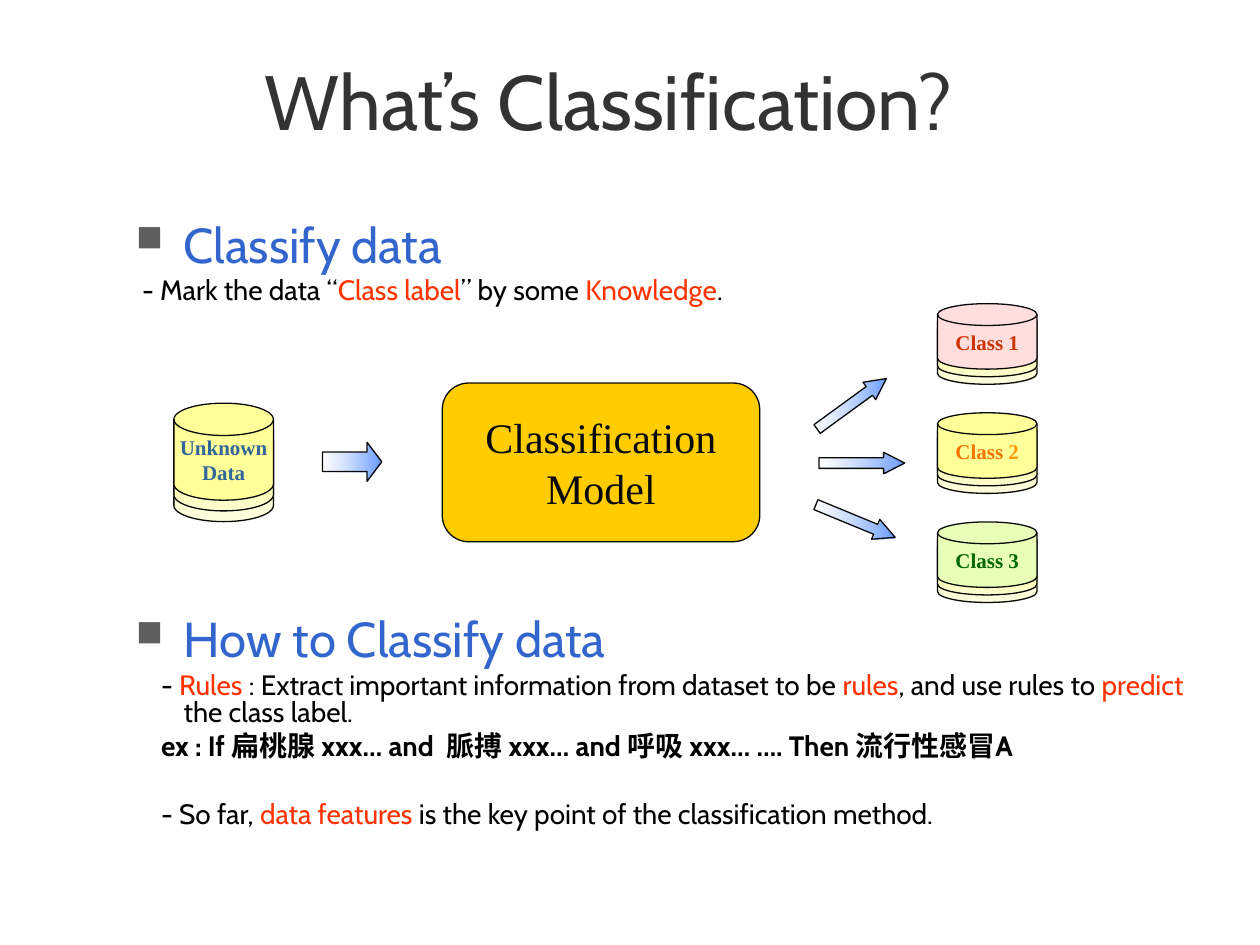
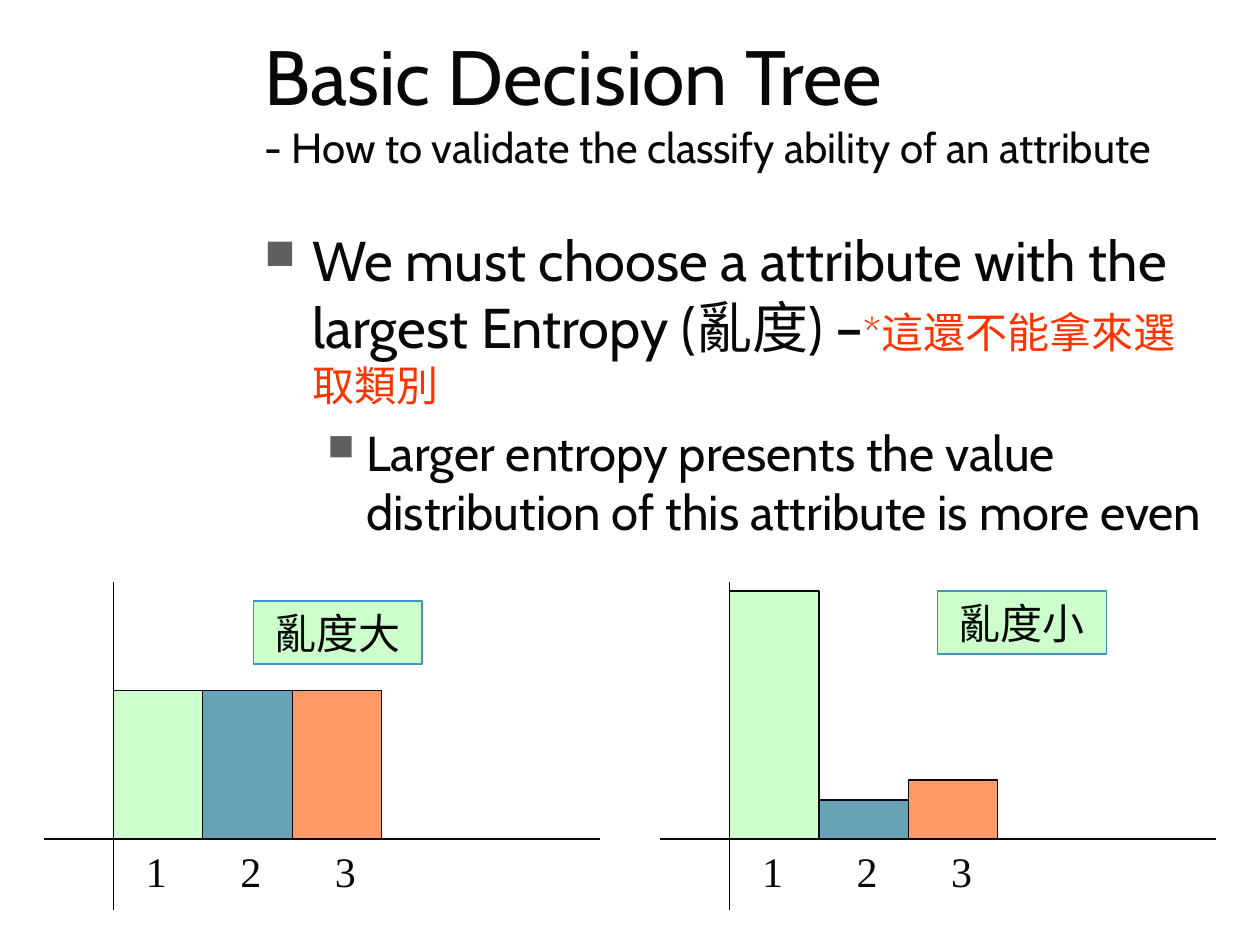
import lxml.etree
import pptx
import pptx.dml.color
import pptx.enum.shapes
import pptx.enum.text
import pptx.oxml.ns
import pptx.util

Inches = pptx.util.Inches
Pt = pptx.util.Pt
Shapes = pptx.enum.shapes.MSO_SHAPE
Align = pptx.enum.text.PP_ALIGN
Anchor = pptx.enum.text.MSO_ANCHOR
qn = pptx.oxml.ns.qn

COLORS = {
    "ink": "080808", "black": "000000", "title": "333333", "bullet": "5F5F5F",
    "heading": "3366CC", "accent": "FF3300", "model": "FFCC00",
    "yellow": "FFFF99", "pale_yellow": "FEFECA", "pink": "FFDEDD", "lime": "E7FFB7",
    "unknown": "336699", "class_1": "CC3300", "class_2": "F07800",
    "class_2_number": "FF9900", "class_3": "006600",
    "arrow": "6699FF", "arrow_tail": "A1C0FE",
    "green": "CCFFCC", "teal": "68A2B6", "orange": "FF9966", "label_edge": "4192BF",
}
SANS = "Cabin"
SERIF = "Times New Roman"
HANGING = 0.38


def rgb(name):
    return pptx.dml.color.RGBColor.from_string(COLORS[name])


def add_run(paragraph, text, size, color, font=SANS, bold=False):
    run = paragraph.add_run()
    run.text = text
    run.font.size = Pt(size)
    run.font.name = font
    run.font.bold = bold
    run.font.color.rgb = rgb(color)


def add_runs(paragraph, runs, size, **style):
    for text, color in runs:
        add_run(paragraph, text, size, color, **style)


def add_titled_slide(presentation):
    slide = presentation.slides.add_slide(presentation.slide_layouts[5])
    title = slide.shapes.title
    title.left, title.top = Inches(2), Inches(0.21)
    title.width, title.height = Inches(7.74), Inches(1.17)
    title.text_frame.vertical_anchor = Anchor.MIDDLE
    title.text_frame.auto_size = pptx.enum.text.MSO_AUTO_SIZE.NONE
    paragraph = title.text_frame.paragraphs[0]
    paragraph.alignment = Align.LEFT
    return slide, paragraph


def add_text_frame(slide, left, top, width, height):
    box = slide.shapes.add_textbox(Inches(left), Inches(top), Inches(width), Inches(height))
    box.text_frame.word_wrap = True
    return box.text_frame


def next_paragraph(frame):
    first = frame.paragraphs[0]
    return frame.add_paragraph() if first.runs else first


def add_body_paragraph(frame, left, indent, before, spacing=1.0):
    paragraph = next_paragraph(frame)
    paragraph.line_spacing = spacing
    paragraph.space_before = Pt(before)
    properties = paragraph._p.get_or_add_pPr()
    properties.set("marL", str(Inches(left)))
    properties.set("indent", str(Inches(indent)))
    return paragraph


def add_bullet(paragraph):
    properties = paragraph._p.get_or_add_pPr()
    color = lxml.etree.SubElement(properties, qn("a:buClr"))
    lxml.etree.SubElement(color, qn("a:srgbClr"), val=COLORS["bullet"])
    lxml.etree.SubElement(properties, qn("a:buSzPct"), val="75000")
    lxml.etree.SubElement(properties, qn("a:buChar"), char="■")


def add_heading(frame, text):
    paragraph = add_body_paragraph(frame, HANGING, -HANGING, 7, 0.8)
    add_bullet(paragraph)
    add_run(paragraph, text, 28, "heading")


def add_detail(frame, runs, start, before=4, bold=False):
    paragraph = add_body_paragraph(frame, HANGING, start - HANGING, before, 0.8)
    add_runs(paragraph, runs, 16, bold=bold)


def add_outlined_shape(slide, kind, left, top, width, height, fill=None, line="ink"):
    shape = slide.shapes.add_shape(
        kind, Inches(left), Inches(top), Inches(width), Inches(height))
    shape.shadow.inherit = False
    shape.line.color.rgb = rgb(line)
    shape.line.width = Pt(0.75)
    if fill:
        shape.fill.solid()
        shape.fill.fore_color.rgb = rgb(fill)
    return shape


def fill_gradient(shape, stops, angle):
    shape.fill.gradient()
    shape.fill.gradient_angle = (360 - angle) % 360
    stop_list = shape._element.spPr.find(qn("a:gradFill")).find(qn("a:gsLst"))
    for stop in list(stop_list):
        stop_list.remove(stop)
    for position, color, opacity in stops:
        stop = lxml.etree.SubElement(stop_list, qn("a:gs"), pos=str(position * 1000))
        value = lxml.etree.SubElement(stop, qn("a:srgbClr"), val=COLORS[color])
        if opacity < 100:
            lxml.etree.SubElement(value, qn("a:alpha"), val=str(opacity * 1000))


def add_shape_text(shape, lines, size, bold=False):
    frame = shape.text_frame
    frame.word_wrap = False
    frame.vertical_anchor = Anchor.MIDDLE
    for runs in lines:
        paragraph = next_paragraph(frame)
        paragraph.alignment = Align.CENTER
        add_runs(paragraph, runs, size, font=SERIF, bold=bold)


def add_disk_stack(slide, left, top, height, step, fill, lines):
    disk = Shapes.FLOWCHART_MAGNETIC_DISK
    for level, opacity in ((2, 50), (1, 100)):
        shape = add_outlined_shape(slide, disk, left, top + level * step, 0.79, height)
        stops = [(0, "pale_yellow", 60), (50, "yellow", opacity), (100, "pale_yellow", 60)]
        fill_gradient(shape, stops, 90)
    front = add_outlined_shape(slide, disk, left, top, 0.79, height, fill)
    add_shape_text(front, lines, 12, bold=True)


def add_block_arrow(slide, left, top, width, height, head, rotation=0):
    arrow = add_outlined_shape(slide, Shapes.RIGHT_ARROW, left, top, width, height)
    arrow.adjustments[0] = 0.5
    arrow.adjustments[1] = head
    arrow.rotation = rotation
    fill_gradient(arrow, [(0, "arrow", 100), (100, "arrow_tail", 0)], (180 - rotation) % 360)


def add_axis(slide, start_x, start_y, end_x, end_y):
    axis = slide.shapes.add_connector(
        pptx.enum.shapes.MSO_CONNECTOR.STRAIGHT,
        Inches(start_x), Inches(start_y), Inches(end_x), Inches(end_y))
    axis.line.color.rgb = rgb("ink")
    axis.line.width = Pt(0.75)
    lxml.etree.SubElement(axis._element.spPr, qn("a:effectLst"))


def add_distribution(slide, origin, heights, label, label_left, label_top):
    baseline, bar_width = 6.66, 0.71
    for index, (height, fill) in enumerate(zip(heights, ("green", "teal", "orange"))):
        add_outlined_shape(slide, Shapes.RECTANGLE, origin + index * bar_width,
                           baseline - height, bar_width, height, fill)
    add_axis(slide, origin, 4.62, origin, 7.22)
    add_axis(slide, origin - 0.55, baseline, origin + 3.86, baseline)

    frame = add_text_frame(slide, origin + 0.16, baseline, 1.89, 0.5)
    paragraph = frame.paragraphs[0]
    add_run(paragraph, "1\t2\t3", 24, "ink", SERIF)
    tabs = lxml.etree.SubElement(paragraph._p.get_or_add_pPr(), qn("a:tabLst"))
    for position in (0.75, 1.5):
        lxml.etree.SubElement(tabs, qn("a:tab"), pos=str(Inches(position)), algn="l")

    box = add_outlined_shape(slide, Shapes.RECTANGLE, label_left, label_top,
                             1.34, 0.5, "green", "label_edge")
    add_shape_text(box, [[(label, "ink")]], 24)


def build_classification_slide(presentation):
    slide, title = add_titled_slide(presentation)
    add_run(title, "What’s Classification?", 44, "title")

    frame = add_text_frame(slide, 0.98, 1.74, 8.76, 0.8)
    add_heading(frame, "Classify data")
    add_detail(frame, [("- Mark the data “", "black"), ("Class label", "accent"),
                       ("” by some ", "black"), ("Knowledge", "accent"),
                       (".", "black")], 0.05)

    frame = add_text_frame(slide, 0.98, 4.87, 8.76, 2.42)
    add_heading(frame, "How to Classify data")
    add_detail(frame, [("- ", "black"), ("Rules", "accent"),
                       (" : Extract important information from dataset to be ", "black"),
                       ("rules", "accent"), (", and use rules to ", "black"),
                       ("predict", "accent"), (" the class label.", "black")], 0.2)
    add_detail(frame, [("ex : If 扁桃腺 xxx… and  脈搏 xxx… and 呼吸 xxx… …. "
                        "Then 流行性感冒A", "black")], 0.2, bold=True)
    add_detail(frame, [("- So far, ", "black"), ("data features", "accent"),
                       (" is the key point of the classification method.", "black")],
               0.2, before=23.5)

    add_disk_stack(slide, 1.38, 3.2, 0.77, 0.085, "yellow",
                   [[("Unknown", "unknown")], [("Data", "unknown")]])
    add_block_arrow(slide, 2.56, 3.51, 0.47, 0.31, 0.375)
    model = add_outlined_shape(slide, Shapes.FLOWCHART_ALTERNATE_PROCESS,
                               3.51, 3.04, 2.52, 1.26, "model")
    add_shape_text(model, [[("Classification", "ink")], [("Model", "ink")]], 24)

    for left, top, rotation in ((6.42, 3.12, 323.9), (6.5, 3.59, 0), (6.45, 4.05, 22.4)):
        add_block_arrow(slide, left, top, 0.68, 0.17, 0.98, rotation)

    classes = (
        ("pink", [("Class 1", "class_1")]),
        ("yellow", [("Class", "class_2"), (" 2", "class_2_number")]),
        ("lime", [("Class 3", "class_3")]),
    )
    for index, (fill, runs) in enumerate(classes):
        add_disk_stack(slide, 7.44, 2.41 + index * 0.866, 0.52, 0.06, fill, [runs])


def build_decision_tree_slide(presentation):
    slide, title = add_titled_slide(presentation)
    add_run(title, "Basic Decision Tree", 44, "ink")
    title.add_line_break()
    add_run(title, "- How to validate the classify ability of an attribute", 24, "ink")

    frame = add_text_frame(slide, 2, 1.74, 7.74, 2.75)
    paragraph = add_body_paragraph(frame, HANGING, -HANGING, 6)
    add_bullet(paragraph)
    add_run(paragraph, "We must choose a attribute with the largest Entropy (亂度) –", 32, "ink")
    add_run(paragraph, "*這還不能拿來選取類別", 24, "accent")
    paragraph = add_body_paragraph(frame, 0.81, -0.31, 7)
    paragraph.level = 1
    add_bullet(paragraph)
    add_run(paragraph, "Larger entropy presents the value distribution of this "
                       "attribute is more even", 28, "ink")

    add_distribution(slide, 0.9, (1.18, 1.18, 1.18), "亂度大", 2.01, 4.77)
    add_distribution(slide, 5.79, (1.97, 0.31, 0.47), "亂度小", 7.44, 4.69)


def main():
    presentation = pptx.Presentation()
    presentation.slide_width = Inches(10)
    presentation.slide_height = Inches(7.5)
    build_classification_slide(presentation)
    build_decision_tree_slide(presentation)
    presentation.save("out.pptx")


if __name__ == "__main__":
    main()
